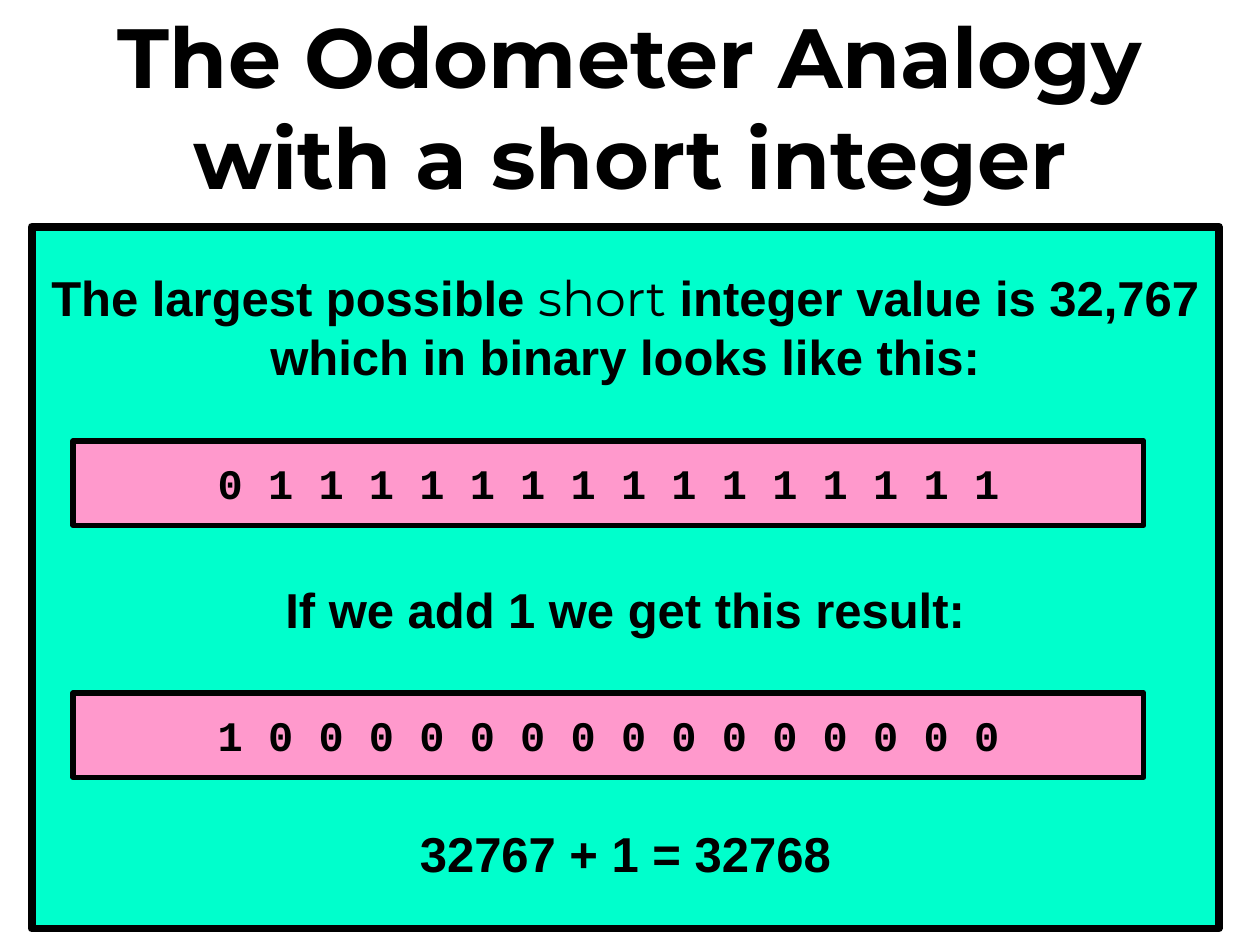
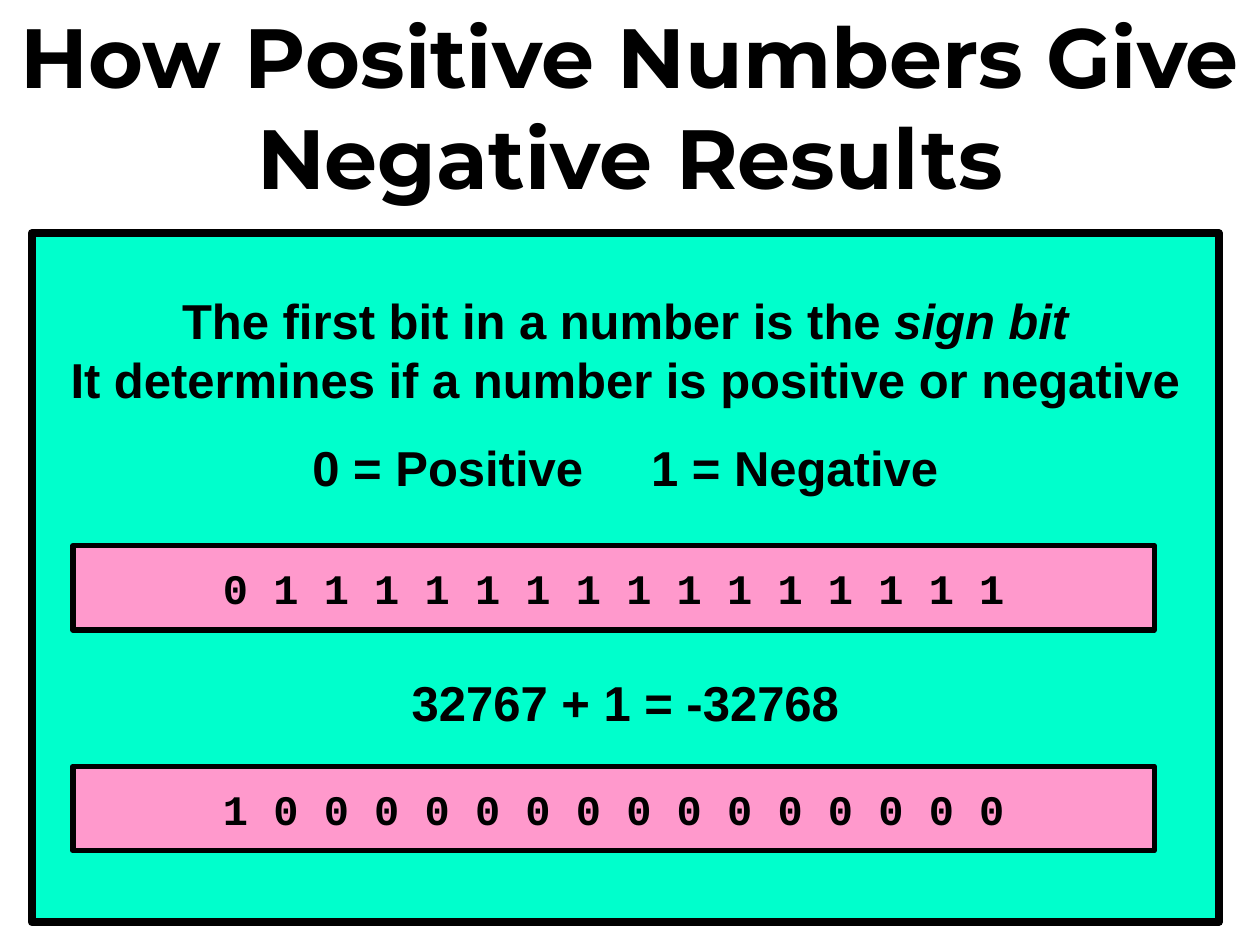
from pptx import Presentation
from pptx.dml.color import RGBColor
from pptx.enum import shapes, text
from pptx.util import Cm, Pt

BLACK, MINT, PINK = "000000", "00FFCC", "FF99CC"
HEAD, BODY, MONO = "Montserrat", "Arial", "Courier New"
LEFT, WIDE = 0.64, 23.93
ONES = " ".join("0" + "1" * 15)
ZEROS = " ".join("1" + "0" * 15)


def color(code):
    return RGBColor.from_string(code)


def style(run, name, size, bold=True, italic=False):
    font = run.font
    font.name, font.size = name, Pt(size)
    font.bold, font.italic = bold, italic
    font.color.rgb = color(BLACK)


def center(frame, words, name, size):
    frame.vertical_anchor = text.MSO_ANCHOR.MIDDLE
    frame.text = words
    para = frame.paragraphs[0]
    para.alignment = text.PP_ALIGN.CENTER
    for run in para.runs:
        style(run, name, size)


def block(slide, box, fill, width):
    shape = slide.shapes.add_shape(
        shapes.MSO_SHAPE.RECTANGLE, *map(Cm, box))
    shape.shadow.inherit = False
    shape.fill.solid()
    shape.fill.fore_color.rgb = color(fill)
    shape.line.color.rgb = color(BLACK)
    shape.line.width = Pt(width)
    return shape


def title(slide, words):
    frame = slide.shapes.add_textbox(0, 0, Cm(25.4), Cm(4.24)).text_frame
    frame.word_wrap = True
    center(frame, words, HEAD, 48)


def panel(slide, box, inset, lines):
    frame = block(slide, box, MINT, 4.5).text_frame
    frame.word_wrap = True
    frame.vertical_anchor = text.MSO_ANCHOR.TOP
    frame.margin_top = Cm(inset)
    for num, (gap, parts) in enumerate(lines):
        para = frame.add_paragraph() if num else frame.paragraphs[0]
        para.alignment = text.PP_ALIGN.CENTER
        para.line_spacing = Cm(1.19)
        para.space_before = Cm(gap)
        for words, look in parts:
            run = para.add_run()
            run.text = words
            style(run, HEAD if look == "thin" else BODY, 28,
                  look != "thin", look == "italic")
            if look == "wide":
                run.font._element.set("spc", "3110")


def bits(slide, box, words):
    frame = block(slide, box, PINK, 3).text_frame
    frame.word_wrap = False
    center(frame, words, MONO, 24)


def page(deck, head, top, high, inset, lines, width, rows):
    slide = deck.slides.add_slide(deck.slide_layouts[6])
    panel(slide, (LEFT, top, WIDE, high), inset, lines)
    for row, words in zip(rows, (ONES, ZEROS)):
        bits(slide, (LEFT + 0.83, top + row, width, 1.7), words)
    title(slide, head)


deck = Presentation()
deck.slide_width, deck.slide_height = Cm(25.4), Cm(19.05)

page(deck, "The Odometer Analogy\vwith a short integer", 4.57, 14.15, 0.82, [
    (0, [("The largest possible ", ""), ("short", "thin"),
         (" integer value is 32,767 which in binary looks like this:", "")]),
    (3.91, [("If we add 1 we get this result:", "")]),
    (3.73, [("32767 + 1 = 32768", "")]),
], 21.59, (4.32, 9.4))

page(deck, "How Positive Numbers Give Negative Results", 4.7, 13.89, 1.16, [
    (0, [("The first bit in a number is the ", ""), ("sign bit", "italic")]),
    (0, [("It determines if a number is positive or negative", "")]),
    (0.58, [("0 = Positive", ""), (" ", "wide"), ("1 = Negative", "")]),
    (3.55, [("32767 + 1 = -32768", "")]),
], 21.8, (6.3, 10.75))

deck.save("out.pptx")
